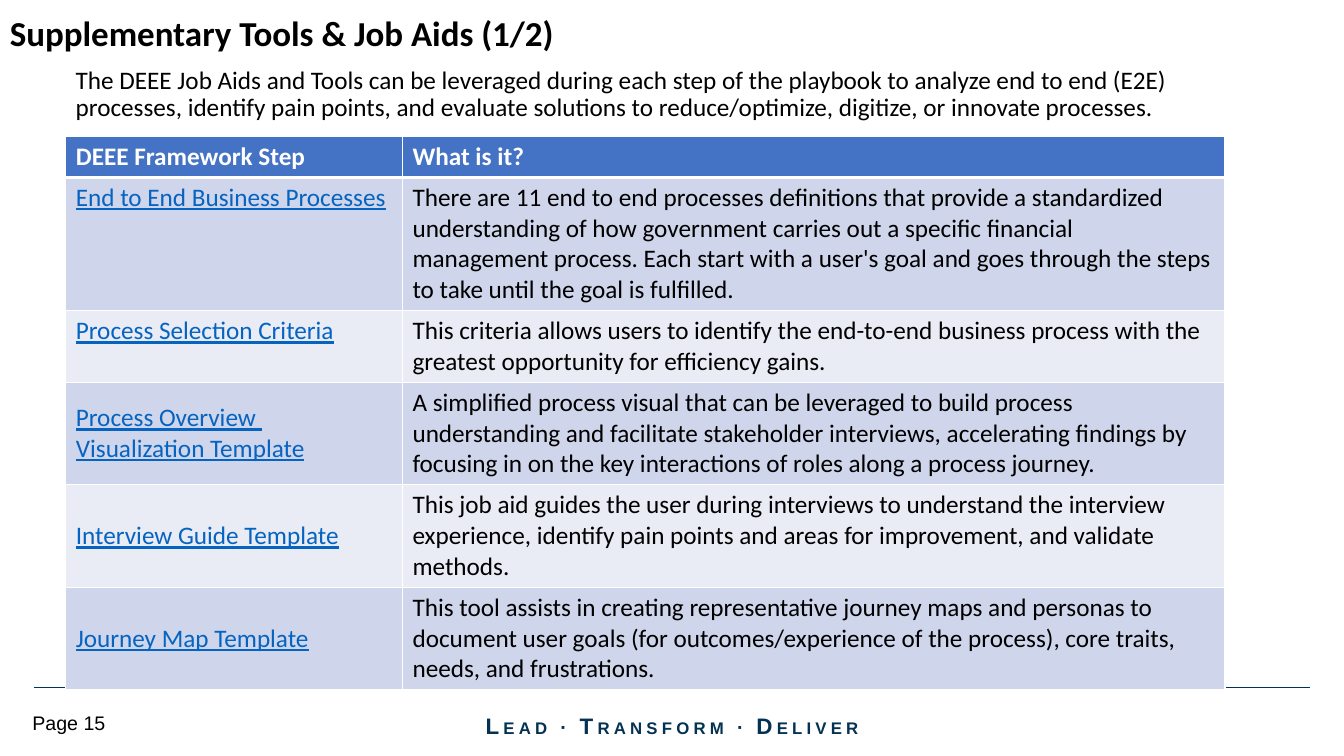
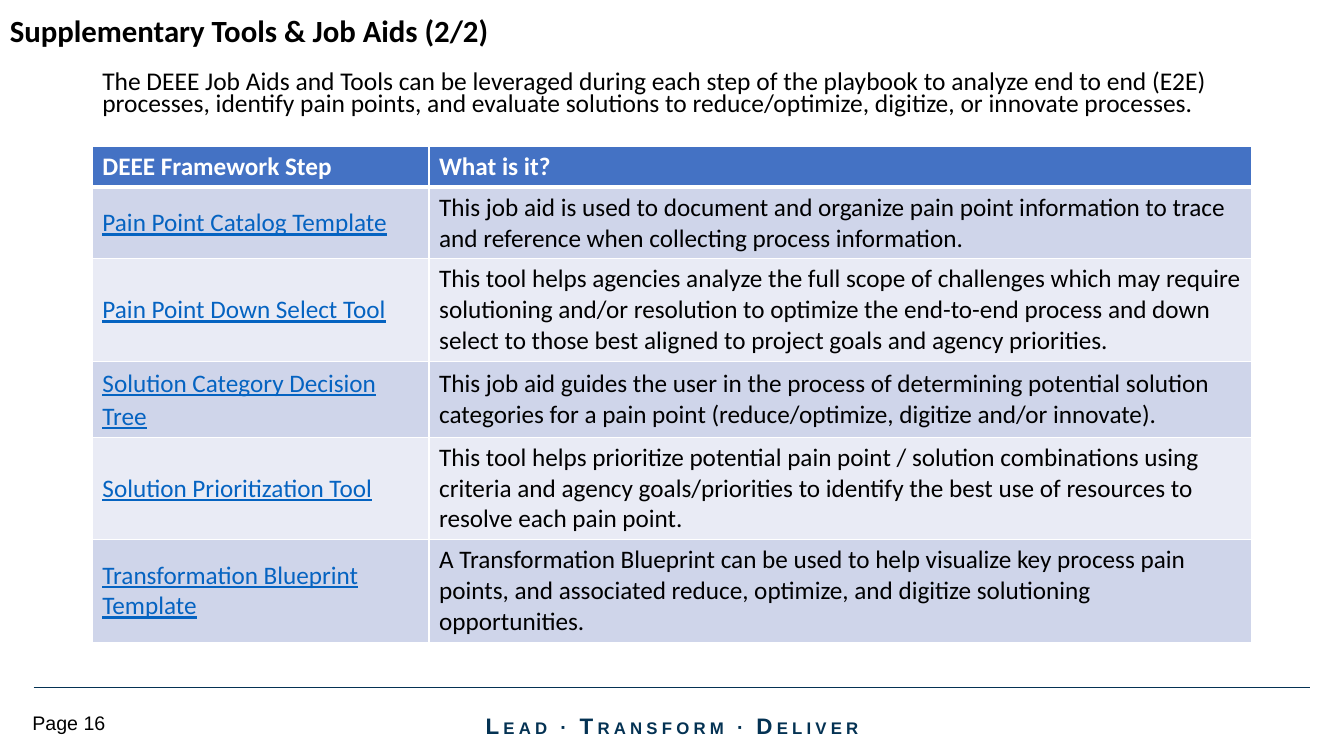
from lxml import etree
from pptx import Presentation
from pptx.dml.color import RGBColor
from pptx.enum import shapes, text
from pptx.oxml import ns
from pptx.util import Pt

WHITE, BLACK, NAVY, LINK = "FFFFFF", "000000", "043253", "0563C1"
HEADER_FILL, BAND_FILLS = "4472C4", ("CFD5EA", "E9EBF5")
BODY_FONT, FOOTER_FONT = "Calibri", "Arial"
TOP, MIDDLE = text.MSO_ANCHOR.TOP, text.MSO_ANCHOR.MIDDLE

SLIDE_WIDTH, SLIDE_HEIGHT = 960, 540
COLUMN_WIDTHS = (240.5, 587.5)
CONTENT_WIDTH = sum(COLUMN_WIDTHS)
LINE_HEIGHT, CELL_PADDING = 22, 7.2

MOTTO = [("L", 16), ("EAD ", 12), ("∙ ", 14), ("T", 16),
         ("RANSFORM ", 12), ("∙ ", 14), ("D", 16), ("ELIVER", 12)]
INTRO = ("The DEEE Job Aids and Tools can be leveraged during each step of the playbook "
         "to analyze end to end (E2E) processes, identify pain points, and evaluate "
         "solutions to reduce/optimize, digitize, or innovate processes.")
HEADINGS = ("DEEE Framework Step", "What is it?")

PAGES = [
    dict(
        title="Supplementary Tools & Job Aids (1/2)", title_size=25, title_height=47,
        intro_size=18, intro_spacing=0.9, intro_top=45,
        left=47, table_top=97.5, page=15,
        tools=[
            (["End to End Business Processes"],
             "There are 11 end to end processes definitions that provide a standardized "
             "understanding of how government carries out a specific financial management "
             "process. Each start with a user's goal and goes through the steps to take "
             "until the goal is fulfilled.", 4, TOP, 1),
            (["Process Selection Criteria"],
             "This criteria allows users to identify the end-to-end business process with "
             "the greatest opportunity for efficiency gains.", 2, TOP, 1),
            (["Process Overview ", "Visualization Template"],
             "A simplified process visual that can be leveraged to build process "
             "understanding and facilitate stakeholder interviews, accelerating findings "
             "by focusing in on the key interactions of roles along a process journey.",
             3, MIDDLE, 1),
            (["Interview Guide Template"],
             "This job aid guides the user during interviews to understand the interview "
             "experience, identify pain points and areas for improvement, and validate "
             "methods.", 3, MIDDLE, 1),
            (["Journey Map Template"],
             "This tool assists in creating representative journey maps and personas to "
             "document user goals (for outcomes/experience of the process), core traits, "
             "needs, and frustrations.", 3, MIDDLE, 1),
        ]),
    dict(
        title="Supplementary Tools & Job Aids (2/2)", title_size=22, title_height=43,
        intro_size=18.2, intro_spacing=0.7, intro_top=49,
        left=66, table_top=104.5, page=16,
        tools=[
            (["Pain Point Catalog Template"],
             "This job aid is used to document and organize pain point information to "
             "trace and reference when collecting process information.", 2, MIDDLE, 1),
            (["Pain Point Down Select Tool"],
             "This tool helps agencies analyze the full scope of challenges which may "
             "require solutioning and/or resolution to optimize the end-to-end process "
             "and down select to those best aligned to project goals and agency "
             "priorities.", 3, MIDDLE, 1),
            (["Solution Category Decision Tree"],
             "This job aid guides the user in the process of determining potential "
             "solution categories for a pain point (reduce/optimize, digitize and/or "
             "innovate).", 2, MIDDLE, 1.07),
            (["Solution Prioritization Tool"],
             "This tool helps prioritize potential pain point / solution combinations "
             "using criteria and agency goals/priorities to identify the best use of "
             "resources to resolve each pain point.", 3, MIDDLE, 1),
            (["Transformation Blueprint Template"],
             "A Transformation Blueprint can be used to help visualize key process pain "
             "points, and associated reduce, optimize, and digitize solutioning "
             "opportunities.", 3, MIDDLE, 1),
        ]),
]


def rgb(value):
    """Turn a hex string into a colour."""
    return RGBColor.from_string(value)


def add_run(paragraph, words, size, color=BLACK, font=BODY_FONT, bold=False, underline=False):
    """Append one styled run."""
    run = paragraph.add_run()
    run.text = words
    run.font.size, run.font.name = Pt(size), font
    run.font.bold, run.font.underline = bold, underline
    run.font.color.rgb = rgb(color)
    return run


def add_label(slide, left, top, width, height, anchor=TOP):
    """Add a wrapping text box and return its first paragraph."""
    frame = slide.shapes.add_textbox(Pt(left), Pt(top), Pt(width), Pt(height)).text_frame
    frame.word_wrap = True
    frame.vertical_anchor = anchor
    return frame.paragraphs[0]


def add_footer(slide, page):
    """Draw the rule, motto and page number."""
    rule = slide.shapes.add_connector(
        shapes.MSO_CONNECTOR.STRAIGHT, Pt(24), Pt(491), Pt(936), Pt(491))
    rule.line.color.rgb, rule.line.width = rgb(NAVY), Pt(0.75)
    etree.SubElement(rule._element.spPr, ns.qn("a:effectLst"))
    motto = add_label(slide, 271.5, 503.5, 417, 29, MIDDLE)
    motto.alignment = text.PP_ALIGN.CENTER
    for words, size in MOTTO:
        run = add_run(motto, words, size, NAVY, FOOTER_FONT, bold=True)
        run.font._element.set("spc", "300")
    add_run(add_label(slide, 16, 504, 120, 24), f"Page {page}", 14, font=FOOTER_FONT)


def set_borders(cell, top, bottom):
    """Give a cell white borders with the given top and bottom widths."""
    properties = cell._tc.get_or_add_tcPr()
    for side, width in zip("LRTB", (1, 1, top, bottom)):
        line = etree.SubElement(properties, ns.qn(f"a:ln{side}"), w=str(Pt(width)))
        fill = etree.SubElement(line, ns.qn("a:solidFill"))
        etree.SubElement(fill, ns.qn("a:srgbClr"), val=WHITE)


def fill_cell(cell, lines, fill, anchor=TOP, spacing=1, top=1, bottom=1, **style):
    """Write the lines of a cell and dress it."""
    set_borders(cell, top, bottom)
    cell.fill.solid()
    cell.fill.fore_color.rgb = rgb(fill)
    cell.vertical_anchor = anchor
    frame = cell.text_frame
    for index, words in enumerate(lines):
        paragraph = frame.add_paragraph() if index else frame.paragraphs[0]
        paragraph.line_spacing = spacing
        add_run(paragraph, words, 18, **style)


def add_tools(slide, left, top, tools):
    """Build the table of tools."""
    heights = [LINE_HEIGHT * count * spacing + CELL_PADDING
               for count, spacing in [(1, 1)] + [tool[2::2] for tool in tools]]
    table = slide.shapes.add_table(
        len(heights), len(COLUMN_WIDTHS), Pt(left), Pt(top),
        Pt(CONTENT_WIDTH), Pt(sum(heights))).table
    for column, width in zip(table.columns, COLUMN_WIDTHS):
        column.width = Pt(width)
    for row, height in zip(table.rows, heights):
        row.height = Pt(height)
    for column, heading in enumerate(HEADINGS):
        fill_cell(table.cell(0, column), [heading], HEADER_FILL, bottom=3,
                  color=WHITE, bold=True)
    for row, (names, purpose, _, anchor, spacing) in enumerate(tools, 1):
        band = BAND_FILLS[(row - 1) % 2]
        top_width = 3 if row == 1 else 1
        fill_cell(table.cell(row, 0), names, band, anchor, spacing, top_width,
                  color=LINK, underline=True)
        fill_cell(table.cell(row, 1), [purpose], band, anchor, top=top_width)


def add_page(deck, page):
    """Build one slide."""
    slide = deck.slides.add_slide(deck.slide_layouts[6])
    add_footer(slide, page["page"])
    title = add_label(slide, 0, 0, CONTENT_WIDTH, page["title_height"], MIDDLE)
    add_run(title, page["title"], page["title_size"], bold=True)
    intro = add_label(slide, page["left"], page["intro_top"], CONTENT_WIDTH, 48)
    intro.line_spacing = page["intro_spacing"]
    add_run(intro, INTRO, page["intro_size"])
    add_tools(slide, page["left"], page["table_top"], page["tools"])


def main():
    """Build and save the deck."""
    deck = Presentation()
    deck.slide_width, deck.slide_height = Pt(SLIDE_WIDTH), Pt(SLIDE_HEIGHT)
    for page in PAGES:
        add_page(deck, page)
    deck.save("out.pptx")


if __name__ == "__main__":
    main()
